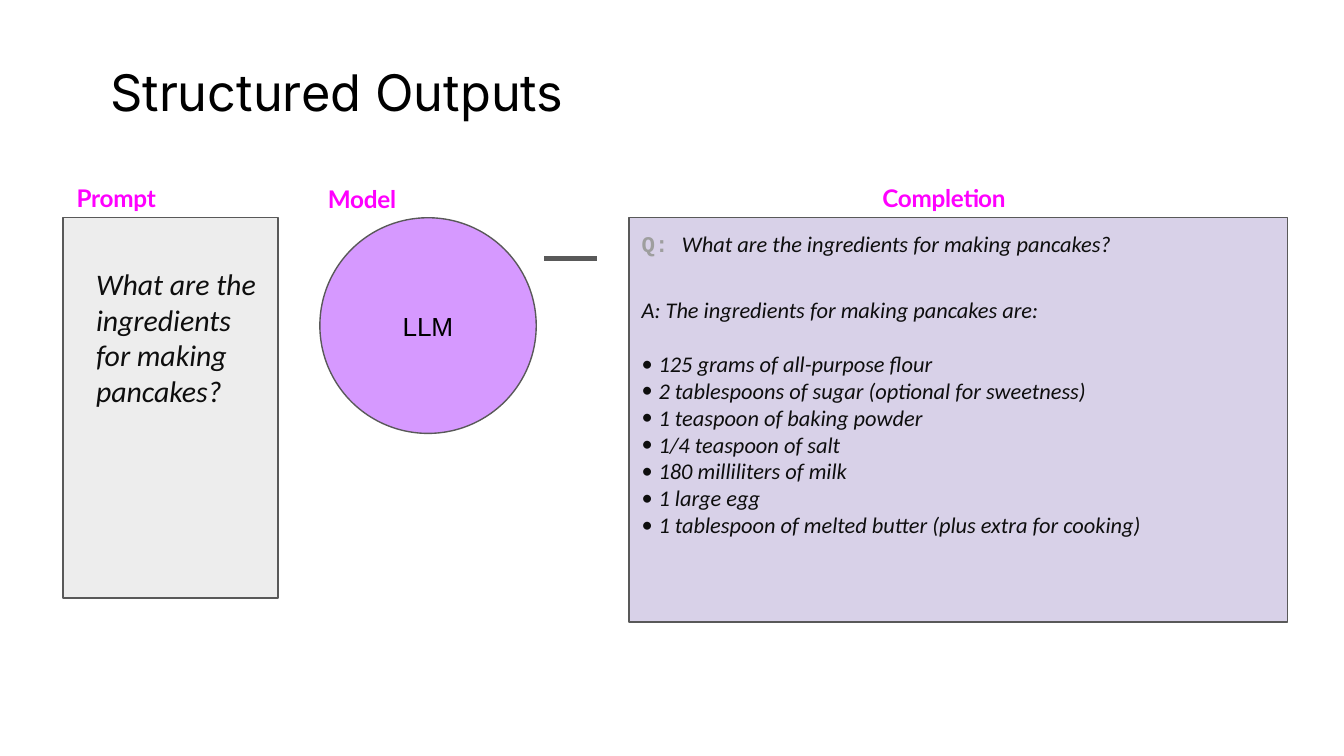
"""Build the Structured Outputs slide: prompt, model and completion."""
import pptx
import pptx.util
import pptx.dml.color
import pptx.enum.shapes
import pptx.enum.text
import pptx.oxml.ns
import lxml.etree

HUES = {"ink": "000000", "text": "0E0E0E", "line": "595959", "gray": "EDEDED",
        "model": "D699FF", "answer": "D8D1E8", "label": "FF00FF", "query": "9E9E9E"}
FORMS = {
    "title": {"name": "Inter", "size": 27, "hue": "ink"},
    "label": {"name": "Lato", "size": 13, "hue": "label", "bold": True, "gap": -10},
    "prompt": {"name": "Calibri", "size": 16, "hue": "text", "italic": True},
    "model": {"name": "Arial", "size": 14, "hue": "ink", "gap": -10},
    "query": {"name": "Courier New", "size": 12, "hue": "query", "bold": True},
    "answer": {"name": "Calibri", "size": 12, "hue": "text", "italic": True},
}
FOODS = ["125 grams of all-purpose flour",
         "2 tablespoons of sugar (optional for sweetness)",
         "1 teaspoon of baking powder", "1/4 teaspoon of salt",
         "180 milliliters of milk", "1 large egg",
         "1 tablespoon of melted butter (plus extra for cooking)"]

deck = pptx.Presentation()
deck.slide_width = pptx.util.Inches(10)
deck.slide_height = deck.slide_width * 9 // 16
page = deck.slides.add_slide(deck.slide_layouts[6])
unit = deck.slide_width // 100
top = 16.2


def write(para, text, form):
    run = para.add_run()
    run.text = text
    for key, value in FORMS[form].items():
        if key == "hue":
            run.font.color.rgb = pptx.dml.color.RGBColor.from_string(HUES[value])
        elif key == "gap":
            run._r.get_or_add_rPr().set("spc", str(value))
        else:
            setattr(run.font, key, pptx.util.Pt(value) if key == "size" else value)


def setup(frame, wrap, left=0, above=0, anchor="TOP"):
    values = {"word_wrap": wrap, "margin_left": int(left * unit), "margin_right": 0,
              "margin_top": int(above * unit), "margin_bottom": 0,
              "vertical_anchor": pptx.enum.text.MSO_ANCHOR[anchor]}
    for key, value in values.items():
        setattr(frame, key, value)


panels = {}
for name, kind, hue, spot in [
        ("prompt", "RECTANGLE", "gray", (4.7, top, 16, 28.3)),
        ("model", "OVAL", "model", (23.8, top, 16.1, 16.05)),
        ("answer", "RECTANGLE", "answer", (46.8, top, 49, 30.1))]:
    panel = page.shapes.add_shape(pptx.enum.shapes.MSO_SHAPE[kind],
                                  *[int(n * unit) for n in spot])
    panel.shadow.inherit = False
    panel.fill.solid()
    panel.fill.fore_color.rgb = pptx.dml.color.RGBColor.from_string(HUES[hue])
    panel.line.color.rgb = pptx.dml.color.RGBColor.from_string(HUES["line"])
    panel.line.width = pptx.util.Pt(0.75)
    panels[name] = panel.text_frame

for text, form, wrap, spot in [
        ("Structured Outputs", "title", True, (8.2, 4.55, 83.8, 6.5)),
        ("What are the ingredients for making pancakes?", "prompt", True,
         (7.15, 19.75, 12.4, 13)),
        ("Prompt", "label", False, (5.7, 13.65, 6.3, 2.3)),
        ("Model", "label", False, (24.4, 13.7, 5.3, 2.3)),
        ("Completion", "label", False, (65.65, 13.65, 9.6, 2.3))]:
    frame = page.shapes.add_textbox(*[int(n * unit) for n in spot]).text_frame
    setup(frame, wrap)
    write(frame.paragraphs[0], text, form)

setup(panels["model"], True, anchor="MIDDLE")
panels["model"].paragraphs[0].alignment = pptx.enum.text.PP_ALIGN.CENTER
write(panels["model"].paragraphs[0], "LLM", "model")

answer = panels["answer"]
setup(answer, True, left=0.95, above=0.9)
query = answer.paragraphs[0]
write(query, "Q: ", "query")
write(query, "What are the ingredients for making pancakes?", "answer")
reply = answer.add_paragraph()
reply.space_before = pptx.util.Pt(21)
reply.space_after = pptx.util.Pt(14.6)
write(reply, "A: The ingredients for making pancakes are:", "answer")
for food in FOODS:
    item = answer.add_paragraph()
    props = item._p.get_or_add_pPr()
    props.set("marL", str(int(1.25 * unit)))
    props.set("indent", str(int(-1.25 * unit)))
    for tag, key, value in [("a:buFont", "typeface", "Calibri"),
                            ("a:buChar", "char", "•")]:
        lxml.etree.SubElement(props, pptx.oxml.ns.qn(tag)).set(key, value)
    write(item, food, "answer")
for para in answer.paragraphs:
    para.alignment = pptx.enum.text.PP_ALIGN.LEFT

dash = page.shapes.add_connector(
    pptx.enum.shapes.MSO_CONNECTOR.STRAIGHT,
    *[int(n * unit) for n in (40.5, 19.25, 44.4, 19.25)])
dash.line.color.rgb = pptx.dml.color.RGBColor.from_string(HUES["line"])
dash.line.width = pptx.util.Pt(3)
lxml.etree.SubElement(dash._element.spPr, pptx.oxml.ns.qn("a:effectLst"))

deck.save("out.pptx")
